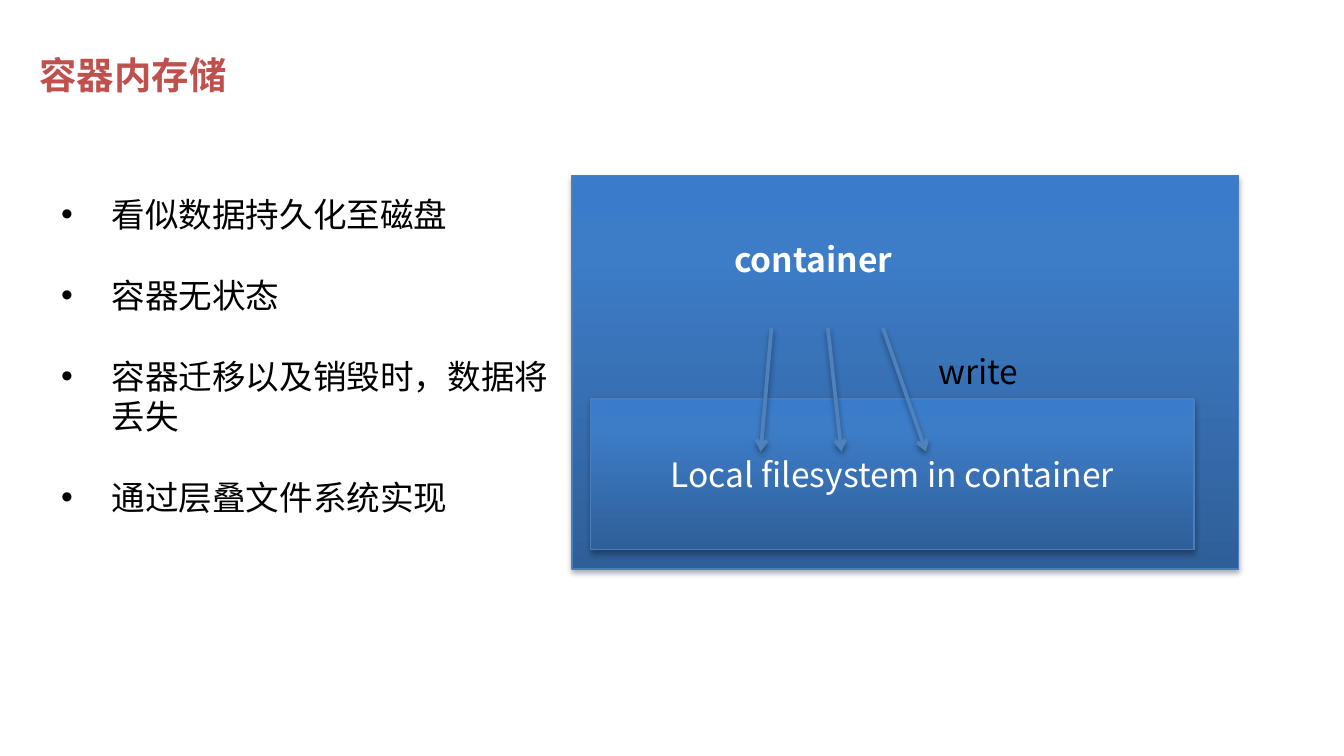
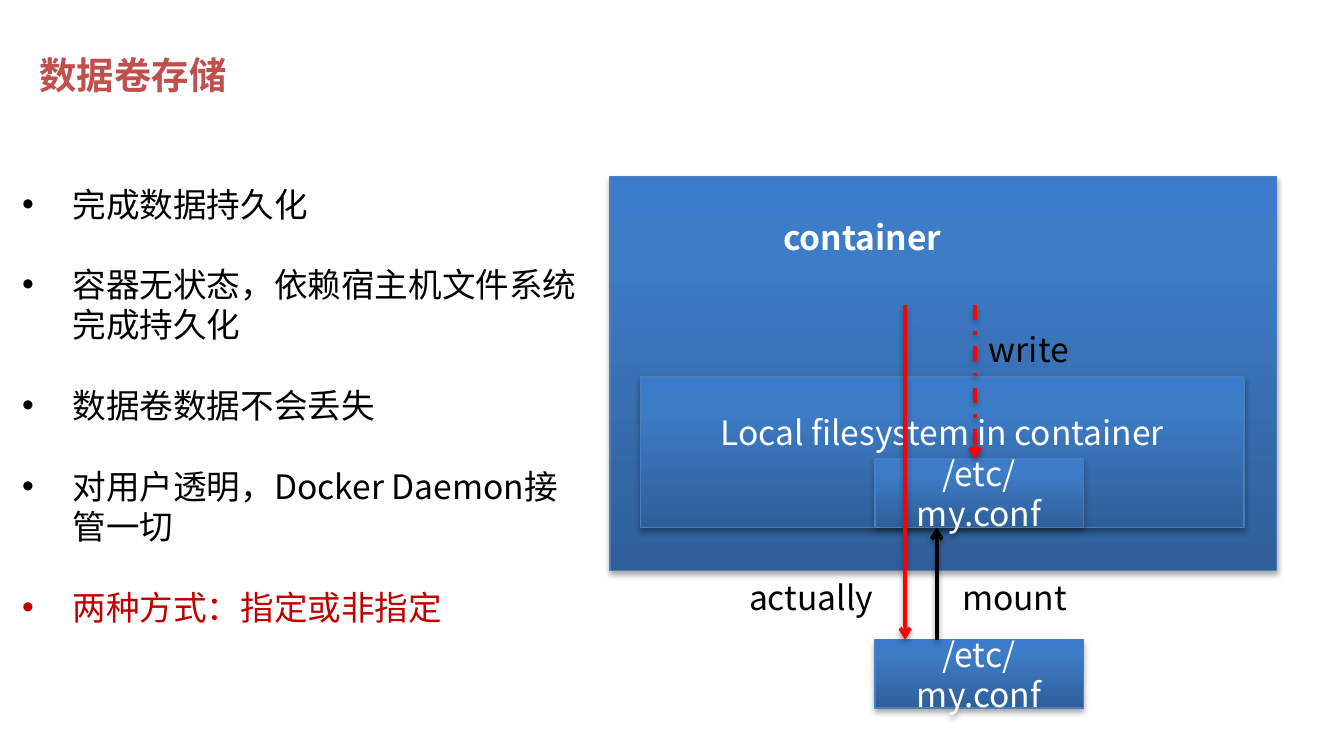
from dataclasses import dataclass

from lxml.etree import SubElement
from pptx import Presentation
from pptx.dml.color import RGBColor
from pptx.enum.dml import MSO_LINE
from pptx.enum.shapes import MSO_CONNECTOR, MSO_SHAPE
from pptx.enum.text import MSO_ANCHOR, MSO_AUTO_SIZE, PP_ALIGN
from pptx.oxml.ns import qn
from pptx.util import Pt

SCALE = 4572


@dataclass(frozen=True)
class Theme:
    """Hold the colours, font and type sizes of the deck."""
    font: str = "Noto Sans CJK SC"
    title: str = "C0504D"
    ink: str = "000000"
    white: str = "FFFFFF"
    alert: str = "C00000"
    edge: str = "4B7EBC"
    blue: str = "4F81BD"
    red: str = "FF0000"
    fade: tuple = ((0, "2F5F99"), (80, "3D7CC7"), (100, "3A7CCB"))
    head: int = 20
    body: int = 18
    pitch: float = 21.6


THEME = Theme()


def px(*sizes):
    """Turn px lengths into EMU."""
    return [size * SCALE for size in sizes]


def place(shape, spot):
    """Move a shape to left, top, width and height in px."""
    shape.left, shape.top, shape.width, shape.height = px(*spot)


def style(para, color, size=THEME.body, bold=False):
    """Format all runs of a paragraph."""
    para.line_spacing = Pt(size * THEME.pitch / THEME.body)
    for run in para.runs:
        font = run.font
        font.name, font.size, font.bold = THEME.font, Pt(size), bold
        font.color.rgb = RGBColor.from_string(color)
        SubElement(font._element, qn("a:ea"), typeface=THEME.font)


def shade(props, dist, alpha):
    """Give shape properties a soft shadow that falls straight down."""
    effects = props.find(qn("a:effectLst"))
    if effects is None:
        effects = SubElement(props, qn("a:effectLst"))
    shadow = SubElement(effects, qn("a:outerShdw"), blurRad="40000",
                        dist=str(dist), dir="5400000", rotWithShape="0")
    color = SubElement(shadow, qn("a:srgbClr"), val=THEME.ink)
    SubElement(color, qn("a:alpha"), val=str(alpha * 1000))


def blend(shape):
    """Fill a shape with the theme's upright gradient."""
    shape.fill.gradient()
    shape.fill.gradient_angle = 90
    stops = next(shape._element.spPr.iter(qn("a:gsLst")))
    for stop in list(stops):
        stops.remove(stop)
    for point, color in THEME.fade:
        stop = SubElement(stops, qn("a:gs"), pos=str(point * 1000))
        SubElement(stop, qn("a:srgbClr"), val=color)


def box(slide, spot, text="", lift=0):
    """Draw a shaded box with centred text, raised by a deeper lower inset."""
    shape = slide.shapes.add_shape(MSO_SHAPE.RECTANGLE, *px(*spot))
    blend(shape)
    shape.line.color.rgb = RGBColor.from_string(THEME.edge)
    shape.line.width = Pt(0.75)
    shape.shadow.inherit = False
    shade(shape._element.spPr, 23000, 35)
    if text:
        frame = shape.text_frame
        frame.text = text
        frame.word_wrap = True
        frame.vertical_anchor = MSO_ANCHOR.MIDDLE
        frame.margin_bottom += lift * SCALE
        frame.paragraphs[0].alignment = PP_ALIGN.CENTER
        style(frame.paragraphs[0], THEME.white)


def label(slide, spot, text, color=THEME.ink, bold=False):
    """Write one line of free text."""
    frame = slide.shapes.add_textbox(*px(*spot)).text_frame
    frame.word_wrap = True
    frame.text = text
    style(frame.paragraphs[0], color, bold=bold)


def arrow(slide, ends, color, dash=None):
    """Draw an arrow between two points given as x, y, x, y."""
    link = slide.shapes.add_connector(MSO_CONNECTOR.STRAIGHT, *px(*ends))
    link.line.color.rgb = RGBColor.from_string(color)
    link.line.width = Pt(2)
    if dash:
        link.line.dash_style = dash
    props = link._element.spPr
    SubElement(props.find(qn("a:ln")), qn("a:tailEnd"), type="arrow")
    shade(props, 20000, 38)


def bullets(slide, spot, items, colors=None):
    """Set the body list, with one free line between items."""
    body = slide.placeholders[1]
    place(body, spot)
    frame = body.text_frame
    frame.text = "\n".join(items)
    frame.auto_size = MSO_AUTO_SIZE.NONE
    frame.vertical_anchor = MSO_ANCHOR.TOP
    for rank, para in enumerate(frame.paragraphs):
        para.space_before = Pt(THEME.pitch if rank else 0)
        style(para, (colors or {}).get(rank, THEME.ink))


def page(deck, title):
    """Add a slide with its title in place."""
    slide = deck.slides.add_slide(deck.slide_layouts[1])
    place(slide.shapes.title, (39, 36, 1930, 118))
    frame = slide.shapes.title.text_frame
    frame.text = title
    frame.auto_size = MSO_AUTO_SIZE.NONE
    frame.vertical_anchor = MSO_ANCHOR.BOTTOM
    frame.paragraphs[0].alignment = PP_ALIGN.LEFT
    style(frame.paragraphs[0], THEME.title, THEME.head, True)
    return slide


def host(slide, outer, name, inner, lift=0):
    """Draw the container with its name and local filesystem."""
    box(slide, (*outer, 992, 586))
    label(slide, (*name, 552, 80), "container", THEME.white, True)
    box(slide, (*inner, 898, 224), "Local filesystem in container", lift)


def inside(deck):
    """Build the slide on storage inside the container."""
    slide = page(deck, "容器内存储")
    host(slide, (851, 261), (1073, 346), (879, 594))
    for start, end in ((1148, 1132), (1232, 1252), (1314, 1378)):
        arrow(slide, (start, 488, end, 672), THEME.blue)
    label(slide, (1377, 513, 162, 80), "write")
    bullets(slide, (71, 279, 808, 504), (
        "看似数据持久化至磁盘",
        "容器无状态",
        "容器迁移以及销毁时，数据将丢失",
        "通过层叠文件系统实现",
    ))


def volume(deck):
    """Build the slide on storage in data volumes."""
    slide = page(deck, "数据卷存储")
    host(slide, (908, 263), (1146, 313), (953, 561), 60)
    for top in (683, 952):
        box(slide, (1302, top, 310, 102), "/etc/my.conf")
    arrow(slide, (1394, 952, 1394, 785), THEME.ink)
    arrow(slide, (1451, 454, 1451, 683), THEME.red, MSO_LINE.DASH_DOT)
    arrow(slide, (1347, 454, 1347, 952), THEME.red)
    label(slide, (1452, 480, 162, 80), "write")
    label(slide, (1412, 848, 248, 80), "mount")
    label(slide, (1095, 848, 252, 80), "actually")
    bullets(slide, (13, 263, 886, 686), (
        "完成数据持久化",
        "容器无状态，依赖宿主机文件系统完成持久化",
        "数据卷数据不会丢失",
        "对用户透明，Docker Daemon接管一切",
        "两种方式：指定或非指定",
    ), {4: THEME.alert})


def main():
    """Build and save the deck."""
    deck = Presentation()
    deck.slide_width, deck.slide_height = px(2000, 1125)
    inside(deck)
    volume(deck)
    deck.save("out.pptx")


if __name__ == "__main__":
    main()
